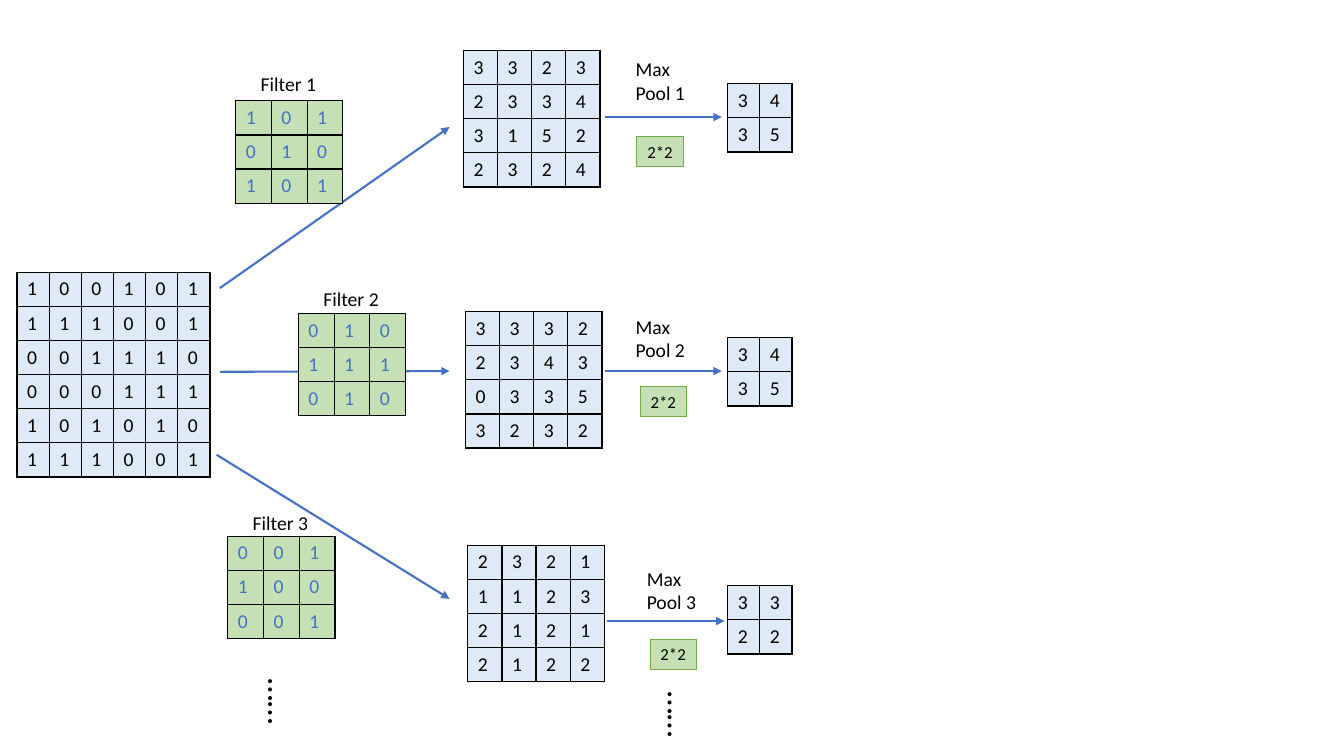
from lxml import etree
from pptx import Presentation
from pptx import util as u
from pptx.dml.color import RGBColor
from pptx.enum import shapes, text
from pptx.oxml import ns

hues = {"ink": "000000", "blue": "4472C4", "pale": "DEEBF7",
        "green": "C5E0B4", "edge": "70AD47"}
rgb = {name: RGBColor.from_string(code) for name, code in hues.items()}

deck = Presentation()
deck.slide_width, deck.slide_height = u.Cm(33.87), u.Cm(19.05)
slide = deck.slides.add_slide(deck.slide_layouts[6])


def put(frame, lines, size=14, hue="ink"):
    for i, line in enumerate(lines):
        para = frame.add_paragraph() if i else frame.paragraphs[0]
        run = para.add_run()
        run.text = line
        run.font.size = u.Pt(size)
        run.font.name = "Calibri"
        run.font.color.rgb = rgb[hue]


def grid(x, y, wide, rows, fill="pale", hue="ink"):
    rows = rows.split()
    count, high = len(rows), 0.86
    table = slide.shapes.add_table(count, count, u.Cm(x), u.Cm(y),
                                   u.Cm(wide * count), u.Cm(high * count)).table
    table.first_row = table.horz_banding = False
    for i, row in enumerate(rows):
        table.rows[i].height = u.Cm(high)
        table.columns[i].width = u.Cm(wide)
        for j, digit in enumerate(row):
            cell = table.cell(i, j)
            put(cell.text_frame, [digit], hue=hue)
            prop = cell._tc.get_or_add_tcPr()
            for side in "LRTB":
                edge = etree.SubElement(prop, ns.qn(f"a:ln{side}"), w=str(u.Pt(1)))
                paint = etree.SubElement(edge, ns.qn("a:solidFill"))
                etree.SubElement(paint, ns.qn("a:srgbClr"), val=hues["ink"])
            cell.fill.solid()
            cell.fill.fore_color.rgb = rgb[fill]


grid(0.43, 6.86, 0.81, "100101 111001 001110 000111 101010 111001")

paths = [
    dict(feed=(5.54, 7.26, 11.33, 3.2), name=(6.32, 1.68),
         filter=(5.94, 2.54, 0.9, "101 010 101"),
         map=(11.68, 1.27, 0.86, "3323 2334 3152 2324"),
         flow=(15.24, 2.95, 18.19, 2.95), note=(15.77, 1.32),
         size=(16.05, 3.43), pool=(18.34, 2.11, 0.81, "34 35")),
    dict(feed=(5.54, 9.37, 11.33, 9.35), name=(7.9, 7.11),
         filter=(7.52, 7.9, 0.9, "010 111 010"),
         map=(11.73, 7.85, 0.86, "3332 2343 0335 3232"),
         flow=(15.24, 9.35, 18.19, 9.35), note=(15.77, 7.8),
         size=(16.13, 9.73), pool=(18.34, 8.51, 0.81, "34 35")),
    dict(feed=(5.46, 11.46, 11.33, 15.09), name=(6.12, 12.75),
         filter=(5.74, 13.51, 0.9, "001 100 001"),
         map=(11.79, 13.74, 0.86, "2321 1123 2121 2122"),
         flow=(15.29, 15.65, 18.26, 15.65), note=(16.05, 14.15),
         size=(16.38, 16.1), pool=(18.34, 14.76, 0.81, "33 22")),
]

for num, path in enumerate(paths, 1):
    for ends in (path["feed"], path["flow"]):
        arrow = slide.shapes.add_connector(shapes.MSO_CONNECTOR.STRAIGHT,
                                           *[u.Cm(v) for v in ends])
        arrow.line.color.rgb = rgb["blue"]
        arrow.line.width = u.Pt(1.5)
        etree.SubElement(arrow.line._get_or_add_ln(), ns.qn("a:tailEnd"), type="triangle")
        etree.SubElement(arrow._element.spPr, ns.qn("a:effectLst"))

    grid(*path["filter"], fill="green", hue="blue")
    grid(*path["map"])
    grid(*path["pool"])

    for key, wide, high, lines in (("name", 1.93, 0.86, [f"Filter {num}"]),
                                   ("note", 1.78, 1.45, ["Max", f"Pool {num}"])):
        x, y = path[key]
        box = slide.shapes.add_textbox(u.Cm(x), u.Cm(y), u.Cm(wide), u.Cm(high))
        box.text_frame.word_wrap = False
        box.text_frame.auto_size = text.MSO_AUTO_SIZE.SHAPE_TO_FIT_TEXT
        put(box.text_frame, lines)

    x, y = path["size"]
    tile = slide.shapes.add_shape(shapes.MSO_SHAPE.RECTANGLE,
                                  u.Cm(x), u.Cm(y), u.Cm(1.17), u.Cm(0.77))
    tile.shadow.inherit = False
    tile.fill.solid()
    tile.fill.fore_color.rgb = rgb["green"]
    tile.line.color.rgb = rgb["edge"]
    tile.line.width = u.Pt(0.5)
    tile.text_frame.word_wrap = False
    put(tile.text_frame, ["2*2"], 12)

for x, y, wide in ((6.07, 17.25, 2.06), (16.18, 17.53, 1.98)):
    dots = slide.shapes.add_textbox(u.Cm(x), u.Cm(y), u.Cm(wide), u.Cm(1.27))
    dots.rotation = 90
    dots.text_frame.word_wrap = True
    dots.text_frame.auto_size = text.MSO_AUTO_SIZE.SHAPE_TO_FIT_TEXT
    put(dots.text_frame, ["……"], 24)

deck.save("out.pptx")
